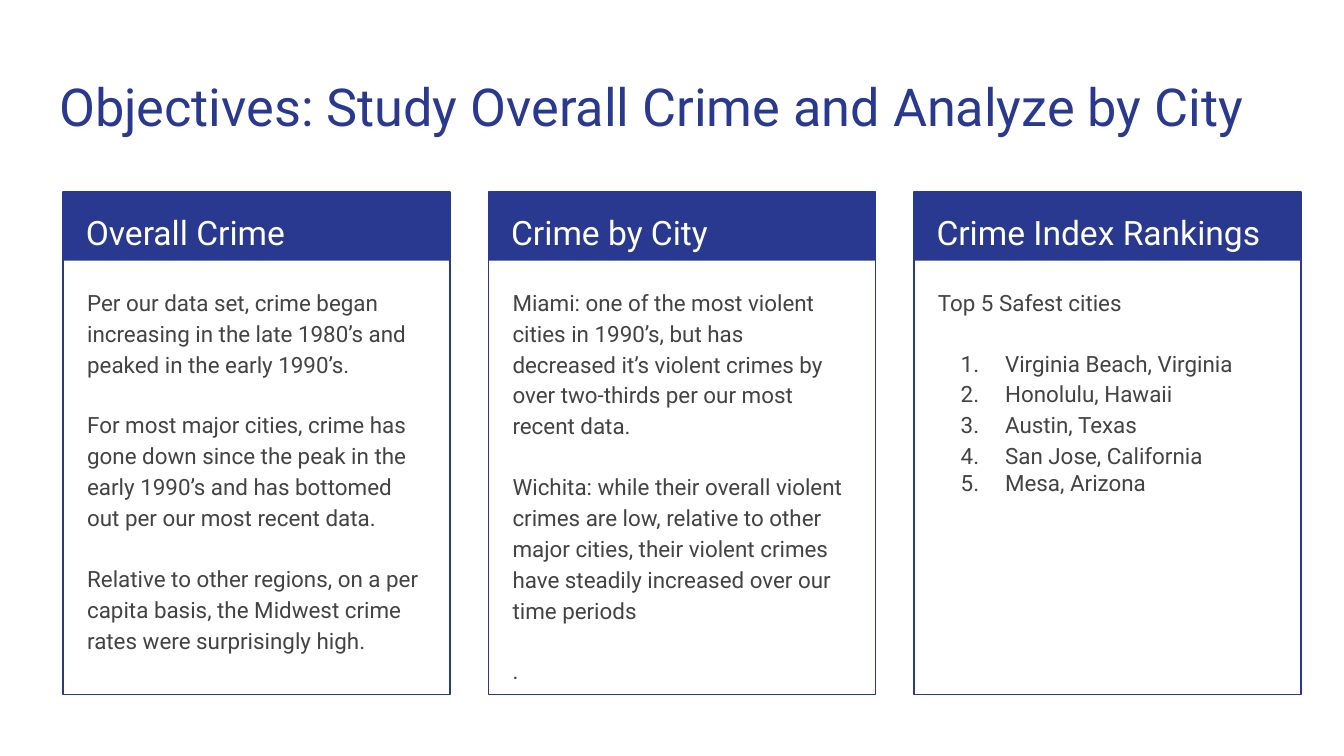
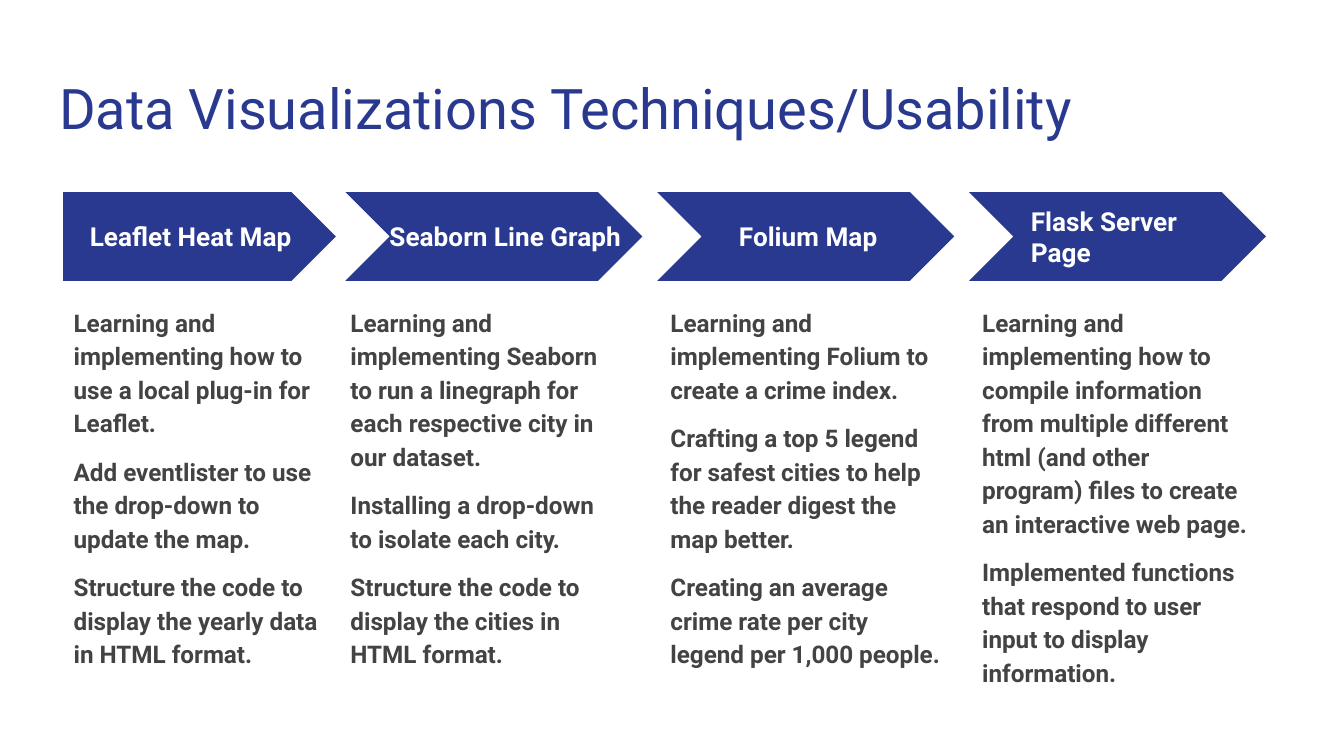
import pptx
import pptx.util
import pptx.dml.color
import pptx.enum.shapes
import pptx.enum.text
import pptx.oxml.ns
import lxml.etree

Inches = pptx.util.Inches
Kind = pptx.enum.shapes.MSO_SHAPE
Anchor = pptx.enum.text.MSO_ANCHOR
hue = pptx.dml.color.RGBColor.from_string

FONT = "Roboto"
NAVY, GRAY, WHITE = "2A3990", "434343", "FFFFFF"
TOP = 1.43


def block(shapes, kind, at, fill=None, line=None):
    """Add a preset shape, or a text box when kind is None."""
    box = [Inches(n) for n in at]
    if kind is None:
        return shapes.add_textbox(*box)
    shape = shapes.add_shape(kind, *box)
    shape.shadow.inherit = False
    if fill:
        shape.fill.solid()
        shape.fill.fore_color.rgb = hue(fill)
    else:
        shape.fill.background()
    if line:
        shape.line.color.rgb = hue(line)
        shape.line.width = pptx.util.Pt(0.75)
    else:
        shape.line.fill.background()
    return shape


def write(shape, texts, size, color, bold=False, lead=1.0, gap=0,
          anchor=Anchor.TOP, inset=0.1, ranks=()):
    """Fill a shape with paragraphs; ranks form a numbered list at the end."""
    frame = shape.text_frame
    frame.word_wrap = True
    frame.auto_size = pptx.enum.text.MSO_AUTO_SIZE.NONE
    frame.vertical_anchor = anchor
    frame.margin_left = frame.margin_right = Inches(inset)
    frame.margin_top = frame.margin_bottom = Inches(inset)
    for i, text in enumerate([*texts, *ranks]):
        para = frame.paragraphs[0] if i == 0 else frame.add_paragraph()
        para.text = text
        if i >= len(texts):
            props = para._p.get_or_add_pPr()
            props.set("marL", str(Inches(0.5)))
            props.set("indent", str(Inches(-0.33)))
            tint = lxml.etree.SubElement(props, pptx.oxml.ns.qn("a:buClr"))
            lxml.etree.SubElement(tint, pptx.oxml.ns.qn("a:srgbClr"), val=color)
            lxml.etree.SubElement(props, pptx.oxml.ns.qn("a:buAutoNum"),
                                  type="arabicPeriod")
        last = ranks and i == len(texts) + len(ranks) - 1
        para.line_spacing = 1.0 if last else lead
        # The numbered list starts one gap below its lead-in
        para.space_before = pptx.util.Pt(gap if 0 < i <= len(texts) else 0)
        para.alignment = pptx.enum.text.PP_ALIGN.LEFT
        para.font.name = FONT
        para.font.size = pptx.util.Pt(size)
        para.font.bold = bold
        para.font.color.rgb = hue(color)


deck = pptx.Presentation()
deck.slide_width = Inches(10)
deck.slide_height = deck.slide_width * 9 // 16

slides = []
for text, size in (
    ("Objectives: Study Overall Crime and Analyze by City", 28),
    ("Data Visualizations Techniques/Usability", 30),
):
    slide = deck.slides.add_slide(deck.slide_layouts[5])
    title = slide.shapes.title
    title.left, title.top = Inches(0.34), Inches(0.45)
    title.width, title.height = Inches(9.32), Inches(0.66)
    write(title, [text], size, NAVY)
    slides.append(slide)
goals, tools = slides

# Objectives: three framed cards
cards = [
    ("Overall Crime", 3.06, [
        "Per our data set, crime began increasing in the late 1980’s and "
        "peaked in the early 1990’s.",
        "For most major cities, crime has gone down since the peak in the "
        "early 1990’s and has bottomed out per our most recent data.",
        "Relative to other regions, on a per capita basis, the Midwest crime "
        "rates were surprisingly high.",
    ], []),
    ("Crime by City", 3.4, [
        "Miami: one of the most violent cities in 1990’s, but has decreased "
        "it’s violent crimes by over two-thirds per our most recent data.",
        "Wichita: while their overall violent crimes are low, relative to "
        "other major cities, their violent crimes have steadily increased "
        "over our time periods",
        ".",
    ], []),
    ("Crime Index Rankings", 3.06, ["Top 5 Safest cities"], [
        "Virginia Beach, Virginia",
        "Honolulu, Hawaii",
        "Austin, Texas",
        "San Jose, California",
        "Mesa, Arizona",
    ]),
]
for i, (head, tall, texts, ranks) in enumerate(cards):
    left = 0.47 + 6.33 * i / 2
    group = goals.shapes.add_group_shape()
    block(group.shapes, Kind.RECTANGLE, (left, TOP, 2.88, 0.51), NAVY)
    block(group.shapes, Kind.RECTANGLE, (left, TOP, 2.88, 3.74), line=NAVY)
    label = block(goals.shapes, None, (left + 0.07, TOP, 2.73, 0.5))
    write(label, [head], 18, WHITE, lead=1.15)
    body = block(goals.shapes, None, (left + 0.08, 2.02, 2.72, tall))
    write(body, texts, 12, GRAY, lead=1.15, gap=16, ranks=ranks)

# Techniques: arrows with notes below; each has head, label box, body box
steps = [
    ("Leaflet Heat Map", (0.57, 1.83), (0.45, 2.07), [
        "Learning and implementing how to use a local plug-in for Leaflet.",
        "Add eventlister to use the drop-down to update the map.",
        "Structure the code to display the yearly data in HTML format.",
    ]),
    ("Seaborn Line Graph", (2.8, 2.2), (2.51, 2.13), [
        "Learning and implementing Seaborn to run a linegraph for each "
        "respective city in our dataset.",
        "Installing a drop-down to isolate each city.",
        "Structure the code to display the cities in HTML format.",
    ]),
    ("Folium Map", (5.4, 1.6), (4.89, 2.21), [
        "Learning and implementing Folium to create a crime index.",
        "Crafting a top 5 legend for safest cities to help the reader digest "
        "the map better.",
        "Creating an average crime rate per city legend per 1,000 people.",
    ]),
    ("Flask Server Page", None, (7.21, 2.2), [
        "Learning and implementing how to compile information from multiple "
        "different html (and other program) files to create an interactive "
        "web page.",
        "Implemented functions that respond to user input to display "
        "information.",
    ]),
]
for i, (head, label, (left, wide), texts) in enumerate(steps):
    if i == 0:
        arrow = block(tools.shapes, Kind.PENTAGON, (0.47, TOP, 2.03, 0.66), NAVY)
    else:
        arrow = block(tools.shapes, Kind.CHEVRON,
                      (0.25 + 2.32 * i, TOP, 2.21, 0.66), NAVY)
    if label:
        tag = block(tools.shapes, None, (label[0], 1.59, label[1], 0.34))
        write(tag, [head], 14, WHITE, bold=True, anchor=Anchor.MIDDLE)
    else:
        write(arrow, [head], 14, WHITE, bold=True, anchor=Anchor.MIDDLE,
              inset=0.13)
    body = block(tools.shapes, None, (left, 2.16, wide, 2.9))
    write(body, texts, 13, GRAY, bold=True, lead=1.15, gap=8)

deck.save("out.pptx")
